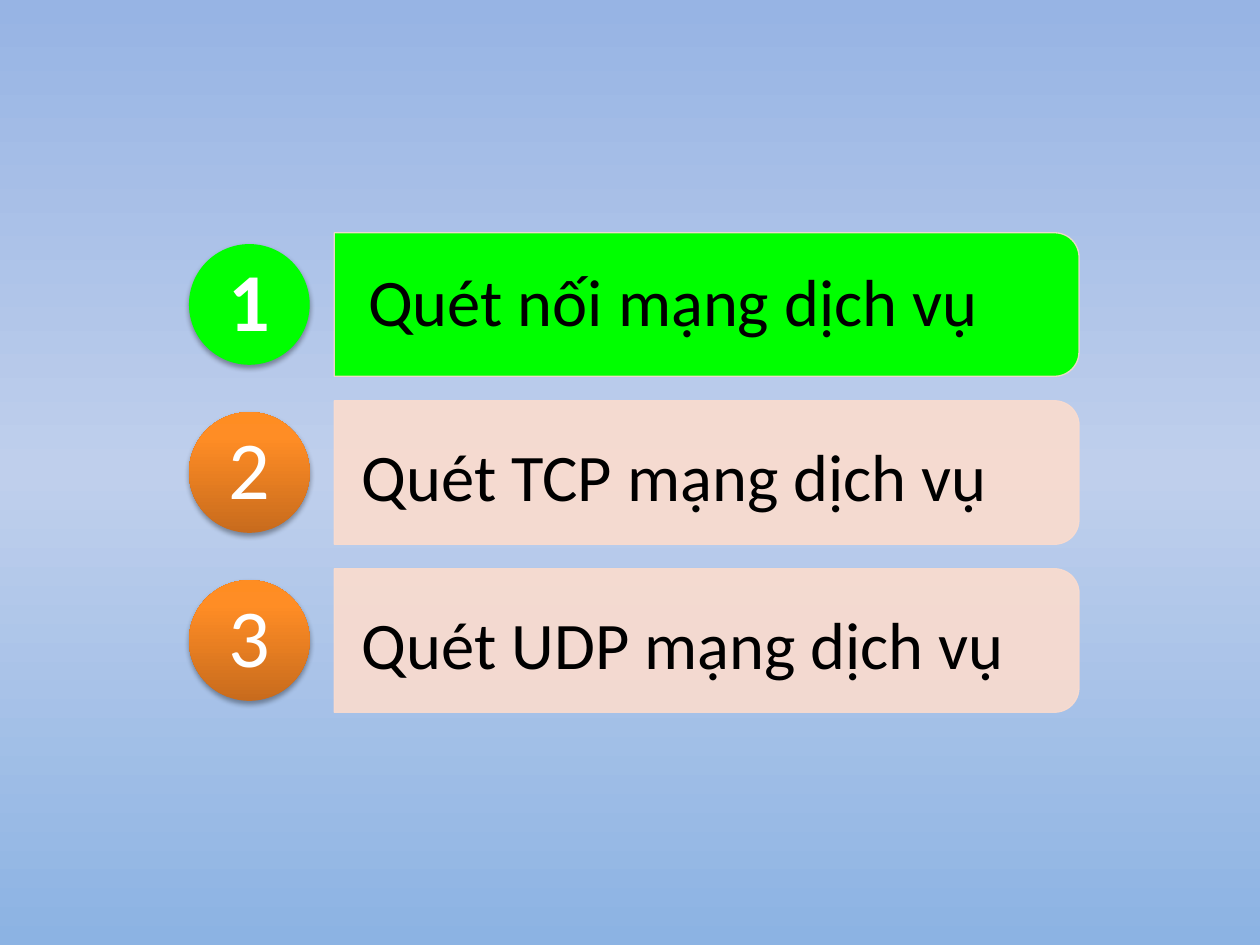
from dataclasses import dataclass

from lxml.etree import SubElement
from pptx import Presentation
from pptx.dml.color import RGBColor
from pptx.enum.shapes import MSO_SHAPE
from pptx.enum.text import MSO_ANCHOR, PP_ALIGN
from pptx.oxml.ns import qn
from pptx.oxml.xmlchemy import BaseOxmlElement
from pptx.shapes.autoshape import Shape
from pptx.slide import Slide
from pptx.util import Pt

Stops = tuple[tuple[int, str], ...]


@dataclass(frozen=True)
class Theme:
    font: str = "Calibri"
    topic_size: float = 38
    number_size: float = 47
    ink: str = "000000"
    number: str = "FFFFFF"
    active: str = "00FF00"
    bar: str = "FBDCCE"
    bar_opacity: int = 90
    shadow_opacity: int = 35
    badge: Stops = ((0, "C86B1D"), (80, "FF8D25"), (100, "FF8D22"))
    backdrop: Stops = ((0, "97B4E4"), (50, "BFCFEC"), (100, "8CB3E3"))


@dataclass(frozen=True)
class Topic:
    number: str
    title: str
    active: bool = False
    title_left: float = 187.2
    title_drop: float = 4


THEME = Theme()
TOPICS = (
    Topic("1", "Quét nối mạng dịch vụ", True, 190.8, 0),
    Topic("2", "Quét TCP mạng dịch vụ"),
    Topic("3", "Quét UDP mạng dịch vụ"),
)
FIRST_CENTER, ROW_PITCH = 174, 96
BAR_CENTER, BAR_LENGTH, BAR_HEIGHT = 403.8, 425.5, 82
BADGE_CENTER, BADGE_SIZE, NUMBER_SIZE = 142.5, 69, 49
TITLE_WIDTH, TITLE_HEIGHT = 422, 74


def set_gradient(owner: BaseOxmlElement, stops: Stops, angle: int) -> None:
    solid = owner.find(qn("a:solidFill"))
    gradient = owner.makeelement(qn("a:gradFill"), {"rotWithShape": "1"})
    stop_list = SubElement(gradient, qn("a:gsLst"))
    for position, color in stops:
        stop = SubElement(stop_list, qn("a:gs"), pos=str(position * 1000))
        SubElement(stop, qn("a:srgbClr"), val=color)
    SubElement(gradient, qn("a:lin"), ang=str(angle * 60000), scaled="0")
    owner.replace(solid, gradient)


def set_opacity(owner: BaseOxmlElement, percent: int) -> None:
    color = owner.find(qn("a:solidFill")).find(qn("a:srgbClr"))
    SubElement(color, qn("a:alpha"), val=str(percent * 1000))


def add_shadow(shape: Shape) -> None:
    effects = shape.element.spPr.find(qn("a:effectLst"))
    shadow = SubElement(
        effects, qn("a:outerShdw"), blurRad=str(Pt(3.1)), dist=str(Pt(1.8)),
        dir="5400000", rotWithShape="0",
    )
    color = SubElement(shadow, qn("a:srgbClr"), val=THEME.ink)
    SubElement(color, qn("a:alpha"), val=str(THEME.shadow_opacity * 1000))


def add_solid(slide: Slide, kind: MSO_SHAPE, center_x: float, center_y: float,
              width: float, height: float, color: str) -> Shape:
    shape = slide.shapes.add_shape(
        kind, Pt(center_x - width / 2), Pt(center_y - height / 2),
        Pt(width), Pt(height),
    )
    shape.shadow.inherit = False
    shape.fill.solid()
    shape.fill.fore_color.rgb = RGBColor.from_string(color)
    return shape


def add_bar(slide: Slide, topic: Topic, center: float) -> None:
    bar = add_solid(
        slide, MSO_SHAPE.ROUND_2_SAME_RECTANGLE, BAR_CENTER, center,
        BAR_HEIGHT, BAR_LENGTH, THEME.active if topic.active else THEME.bar,
    )
    bar.rotation = 90
    bar.adjustments[0] = 0.17
    bar.adjustments[1] = 0
    bar.line.width = Pt(0.75)
    bar.line.color.rgb = RGBColor.from_string(THEME.bar)
    set_opacity(bar.line._get_or_add_ln(), THEME.bar_opacity)
    if not topic.active:
        set_opacity(bar.element.spPr, THEME.bar_opacity)


def add_badge(slide: Slide, topic: Topic, center: float) -> None:
    badge = add_solid(slide, MSO_SHAPE.OVAL, BADGE_CENTER, center,
                      BADGE_SIZE, BADGE_SIZE, THEME.active)
    badge.line.fill.background()
    if not topic.active:
        set_gradient(badge.element.spPr, THEME.badge, 270)
    add_shadow(badge)


def add_label(slide: Slide, text: str, left: float, center: float, width: float,
              height: float, size: float, color: str, align: PP_ALIGN,
              inset_x: float = 0, inset_y: float = 0, bold: bool = False) -> None:
    label = slide.shapes.add_textbox(
        Pt(left), Pt(center - height / 2), Pt(width), Pt(height)
    )
    frame = label.text_frame
    frame.word_wrap = True
    frame.vertical_anchor = MSO_ANCHOR.MIDDLE
    frame.margin_left = frame.margin_right = Pt(inset_x)
    frame.margin_top = frame.margin_bottom = Pt(inset_y)
    paragraph = frame.paragraphs[0]
    paragraph.alignment = align
    paragraph.line_spacing = 0.9
    run = paragraph.add_run()
    run.text = text
    run.font.name = THEME.font
    run.font.size = Pt(size)
    run.font.bold = bold
    run.font.color.rgb = RGBColor.from_string(color)


def add_topic(slide: Slide, topic: Topic, center: float) -> None:
    add_bar(slide, topic, center)
    add_label(slide, topic.title, topic.title_left, center + topic.title_drop,
              TITLE_WIDTH, TITLE_HEIGHT, THEME.topic_size, THEME.ink,
              PP_ALIGN.LEFT, inset_x=19.5, inset_y=13)
    add_badge(slide, topic, center)
    add_label(slide, topic.number, BADGE_CENTER - NUMBER_SIZE / 2, center,
              NUMBER_SIZE, NUMBER_SIZE, THEME.number_size, THEME.number,
              PP_ALIGN.CENTER, bold=topic.active)


def main() -> None:
    deck = Presentation()
    deck.slide_width, deck.slide_height = Pt(720), Pt(540)
    slide = deck.slides.add_slide(deck.slide_layouts[6])
    backdrop = slide.background.fill
    backdrop.solid()
    backdrop.fore_color.rgb = RGBColor.from_string(THEME.backdrop[0][1])
    set_gradient(slide.element.find(".//" + qn("p:bgPr")), THEME.backdrop, 90)
    for row, topic in enumerate(TOPICS):
        add_topic(slide, topic, FIRST_CENTER + row * ROW_PITCH)
    deck.save("out.pptx")


if __name__ == "__main__":
    main()
